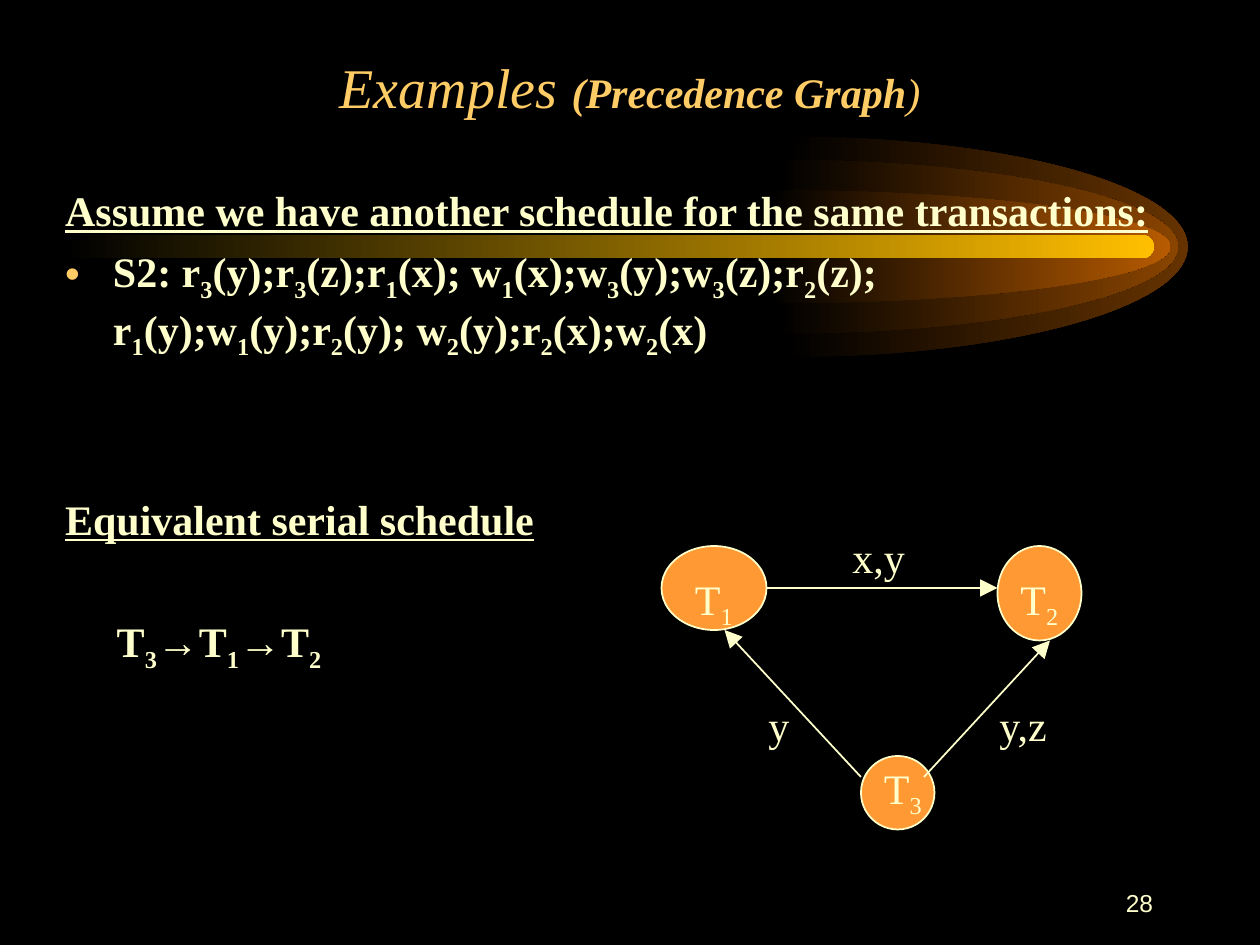
from pptx import Presentation
from pptx.dml.color import RGBColor
from pptx.enum.shapes import MSO_CONNECTOR, MSO_SHAPE
from pptx.enum.text import MSO_ANCHOR, MSO_AUTO_SIZE, PP_ALIGN
from pptx.oxml.ns import qn
from pptx.util import Inches, Pt
from lxml.etree import SubElement

BLACK = RGBColor(0, 0, 0)
CREAM = RGBColor(0xFF, 0xFF, 0xCC)
GOLD = RGBColor(0xFF, 0xCC, 0x66)
ORANGE = RGBColor(0xFF, 0x99, 0x33)
AMBER = RGBColor(0xFF, 0xBF, 0x00)
GLOWS = [
    (74.9, 10.5, RGBColor(0x66, 0x33, 0x00)),
    (74, 8.3, RGBColor(0x89, 0x44, 0x00)),
    (73.3, 5.4, RGBColor(0xB7, 0x5B, 0x00)),
]
WIDE, MID, BEND = 38.2, 23.5, 0.55
SERIF = "Times New Roman"
SANS = "Arial"

deck = Presentation()
deck.slide_width, deck.slide_height = Inches(10), Inches(7.5)
CELL = deck.slide_width // 120
slide = deck.slides.add_slide(deck.slide_layouts[1])
shapes = slide.shapes
slide.background.fill.solid()
slide.background.fill.fore_color.rgb = BLACK


def grid(*cells):
    return [round(cell * CELL) for cell in cells]


def write(para, text, size=24, color=CREAM, face=SERIF, bold=False):
    for part in text.split("|"):
        run = para.add_run()
        run.text = part
        font = run.font
        font.size, font.bold = Pt(size), bold
        font.name = SANS if part == "→" else face
        font.color.rgb = color
        if part in ("1", "2", "3"):
            run._r.get_or_add_rPr().set("baseline", "-25000")


glows = []
for left, high, tone in GLOWS:
    bends = [(BEND, -1), (1, -BEND), (1, 0), (1, BEND), (BEND, 1), (0, 1)]
    pen = shapes.build_freeform(*grid(left, MID - high))
    pen.add_line_segments([grid(left + x * WIDE, MID + y * high) for x, y in bends])
    glow = pen.convert_to_shape()
    steps = list(glow._element.iter(qn("a:lnTo")))
    for k in range(0, len(steps), 3):
        steps[k].tag = qn("a:cubicBezTo")
        for step in steps[k + 1:k + 3]:
            steps[k].append(step[0])
            step.getparent().remove(step)
    glows.append((glow, tone))
bar = shapes.add_shape(MSO_SHAPE.ROUNDED_RECTANGLE, *grid(6, 22.4, 103.9, 2.2))
bar.adjustments[0] = 0.5
for glow, tone in glows + [(bar, AMBER)]:
    glow.shadow.inherit = False
    glow.line.fill.background()
    glow.fill.gradient()
    glow.fill.gradient_angle = 0
    for stop, shade in zip(glow.fill.gradient_stops, (BLACK, tone)):
        stop.color.rgb = shade

title, body = shapes.title, slide.placeholders[1]
for holder, box in [(title, (9, 5, 102, 7)), (body, (5, 17, 106, 64))]:
    holder.left, holder.top, holder.width, holder.height = grid(*box)
    holder.text_frame.auto_size = MSO_AUTO_SIZE.NONE
    shapes._spTree.append(holder._element)

title.text_frame.vertical_anchor = MSO_ANCHOR.BOTTOM
head = title.text_frame.paragraphs[0]
head.alignment = PP_ALIGN.CENTER
write(head, "Examples ", 32, GOLD)
write(head, "(Precedence Graph", 24, GOLD, bold=True)
write(head, ")", 24, GOLD)
for run in head.runs:
    run.font.italic = True

body.text_frame.vertical_anchor = MSO_ANCHOR.TOP
LINES = [
    ("Assume we have another schedule for the same transactions:", 0, 0, "line"),
    ("S2: r|3|(y);r|3|(z);r|1|(x); w|1|(x);w|3|(y);w|3|(z);r|2|(z); "
     "r|1|(y);w|1|(y);r|2|(y); w|2|(y);r|2|(x);w|2|(x)", 6, 0.38, "dot"),
    ("Equivalent serial schedule", 76, 0, "line"),
    ("T|3|→|T|1|→|T|2", 41, 0.41, ""),
]
for row, (text, gap, inset, style) in enumerate(LINES):
    para = body.text_frame.add_paragraph() if row else body.text_frame.paragraphs[0]
    props = para._p.get_or_add_pPr()
    props.set("marL", str(Inches(inset)))
    props.set("indent", str(-Inches(inset) if style == "dot" else 0))
    para.space_before = Pt(gap)
    if style == "dot":
        tint = SubElement(props, qn("a:buClr"))
        SubElement(tint, qn("a:srgbClr")).set("val", str(GOLD))
        SubElement(props, qn("a:buChar")).set("char", "•")
    else:
        SubElement(props, qn("a:buNone"))
    write(para, text, bold=True)
    for run in para.runs:
        run.font.underline = style == "line"

for box in [(63, 52, 10, 8), (95, 52, 8, 9), (82, 72, 7, 7)]:
    node = shapes.add_shape(MSO_SHAPE.OVAL, *grid(*box))
    node.shadow.inherit = False
    node.fill.solid()
    node.fill.fore_color.rgb = ORANGE
    node.line.color.rgb = CREAM
    node.line.width = Pt(1)

for ends in [(88, 74, 100, 61), (82, 74, 69, 60), (73, 56, 95, 56)]:
    edge = shapes.add_connector(MSO_CONNECTOR.STRAIGHT, *grid(*ends))
    edge.line.color.rgb = CREAM
    edge.line.width = Pt(1)
    tip = SubElement(edge.line._get_or_add_ln(), qn("a:tailEnd"))
    for key, val in [("type", "triangle"), ("w", "lg"), ("len", "lg")]:
        tip.set(key, val)
    SubElement(edge._element.spPr, qn("a:effectLst"))

LABELS = [
    ("x,y", 80, 50, 10, 6), ("y", 72, 66, 7, 6), ("y,z", 94, 66, 9, 6),
    ("T|1", 65, 54, 8, 6.7), ("T|2", 96, 54, 8, 6.7), ("T|3", 83, 72, 8, 6.7),
]
for text, *box in LABELS:
    frame = shapes.add_textbox(*grid(*box)).text_frame
    frame.word_wrap = True
    frame.auto_size = MSO_AUTO_SIZE.SHAPE_TO_FIT_TEXT
    write(frame.paragraphs[0], text)

frame = shapes.add_textbox(*grid(86, 83, 25, 6)).text_frame
frame.word_wrap = True
frame.vertical_anchor = MSO_ANCHOR.MIDDLE
frame.paragraphs[0].alignment = PP_ALIGN.RIGHT
write(frame.paragraphs[0], "28", 14, face=SANS)

deck.save("out.pptx")
